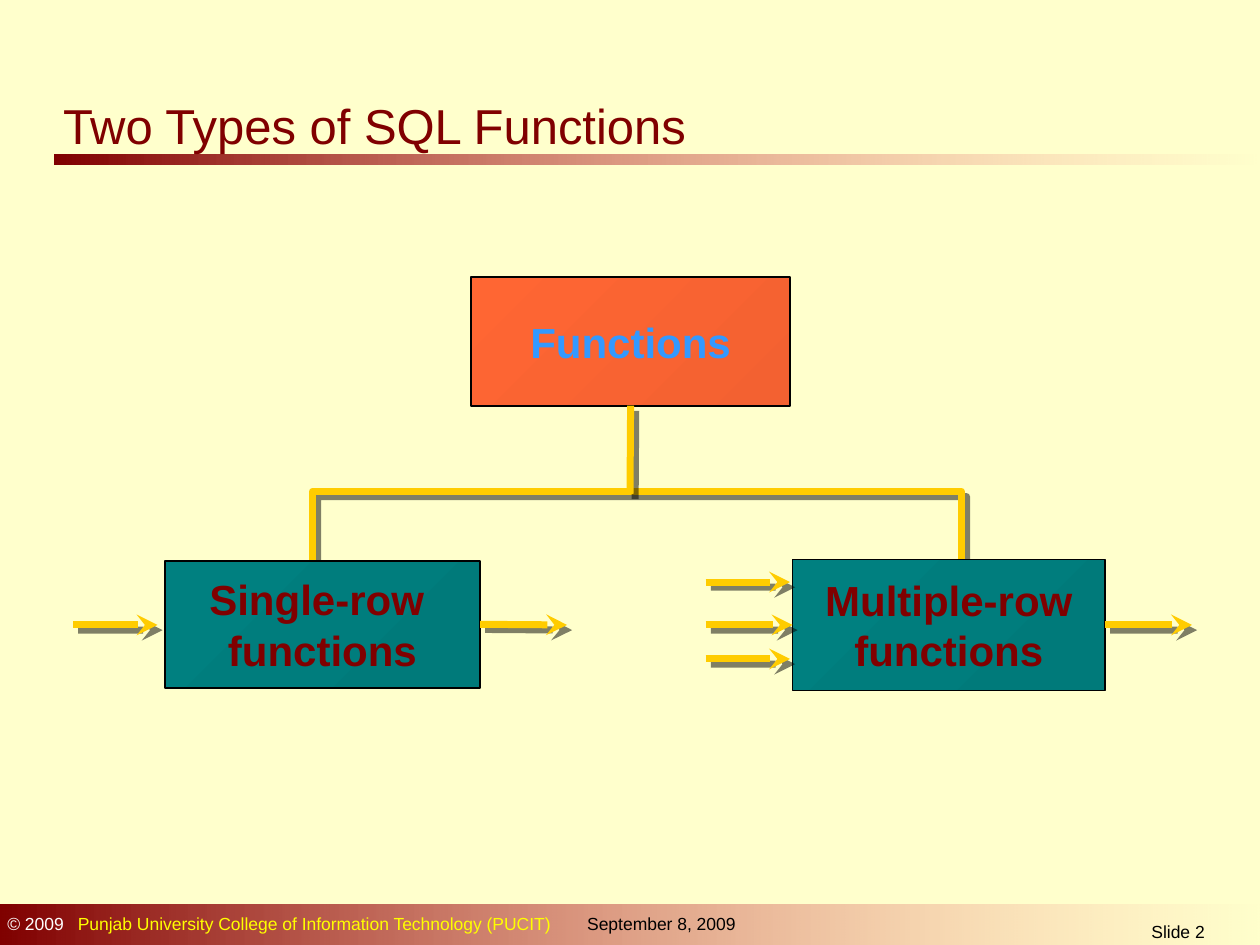
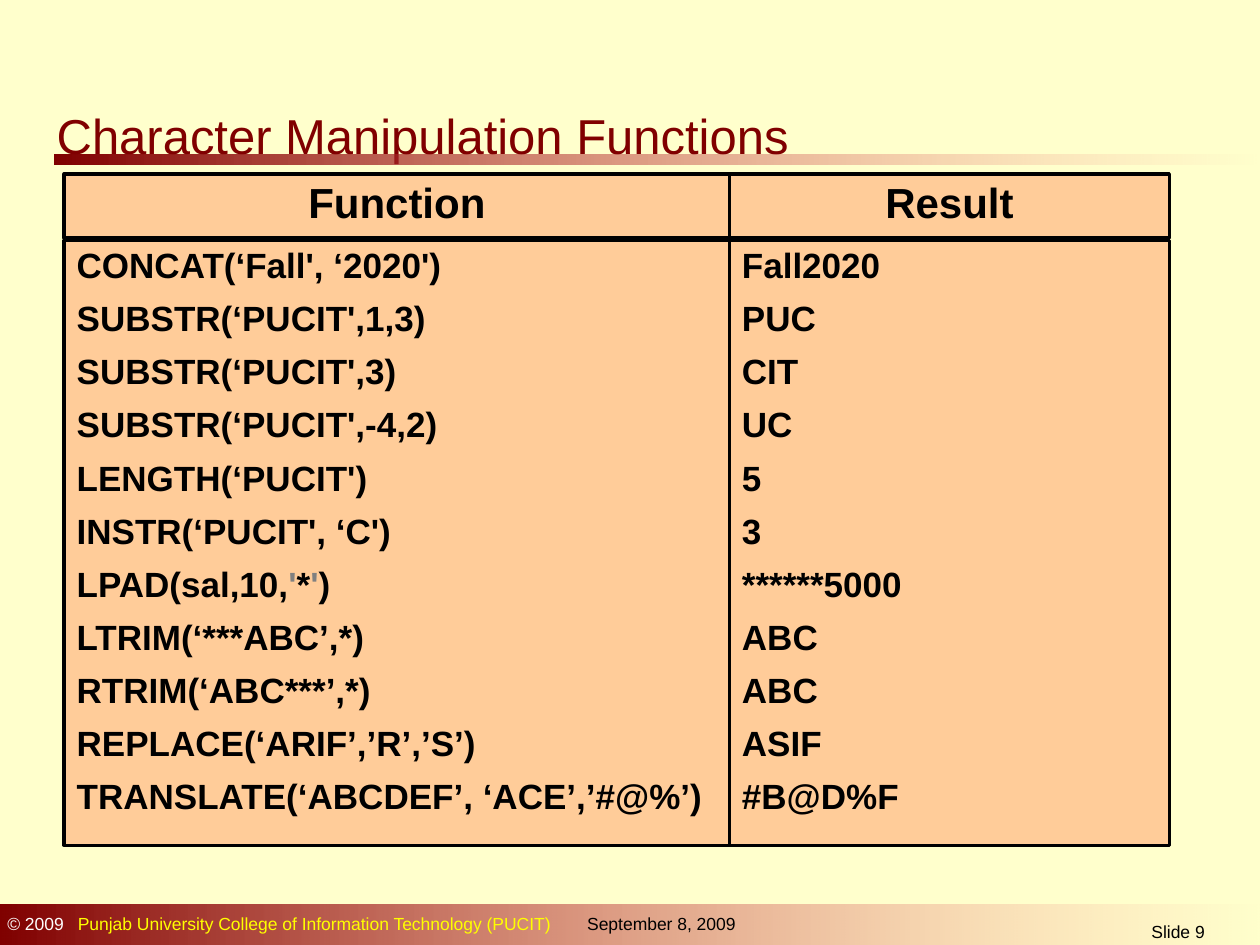
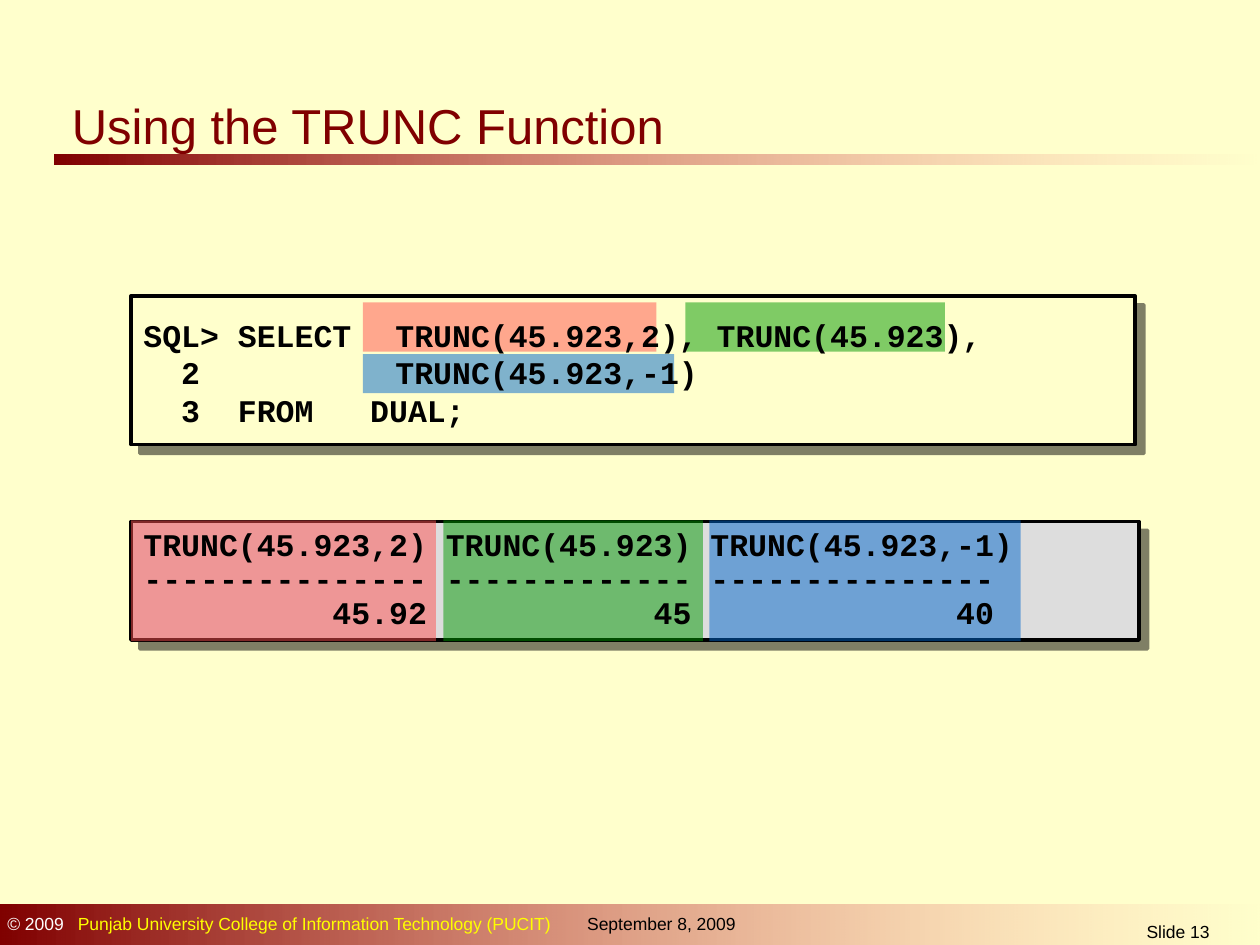
from dataclasses import dataclass
from typing import NamedTuple, Optional, Sequence, Union

from lxml.etree import SubElement
from pptx import Presentation
from pptx.dml.color import RGBColor
from pptx.enum.shapes import MSO_CONNECTOR, MSO_SHAPE
from pptx.enum.text import MSO_ANCHOR, MSO_AUTO_SIZE, PP_ALIGN
from pptx.oxml.ns import qn
from pptx.util import Inches, Pt


@dataclass(frozen=True)
class TextStyle:
    size: float
    color: str
    font: str = "Arial"
    bold: bool = False


@dataclass(frozen=True)
class Theme:
    page: str = "FFFFCC"
    maroon: str = "800000"
    rose: str = "FF8585"
    black: str = "000000"
    quote_gray: str = "808080"
    yellow: str = "FFFF00"
    arrow: str = "FFCC00"
    cell: str = "FFCC99"
    result: str = "DDDDDD"
    orange: tuple = ("FF6633", "F36131")
    teal: tuple = ("008080", "007A7A")
    red_mark: str = "FF5050"
    green_mark: str = "009900"
    blue_mark: str = "0066CC"
    title: TextStyle = TextStyle(28, "800000")
    footer: TextStyle = TextStyle(10, "000000")
    copyright: TextStyle = TextStyle(10, "FFFFFF")
    root: TextStyle = TextStyle(24, "3399FF", bold=True)
    branch: TextStyle = TextStyle(24, "800000", bold=True)
    heading: TextStyle = TextStyle(24, "000000", bold=True)
    entry: TextStyle = TextStyle(20, "000000", bold=True)
    code: TextStyle = TextStyle(18, "000000", "Courier New", True)
    thin: float = 1
    border: float = 2
    thick: float = 4
    line_shadow: float = 4.2
    panel_shadow: float = 7.1


THEME = Theme()


class Box(NamedTuple):
    left: float
    top: float
    width: float
    height: float

    def lengths(self) -> list:
        return [Inches(side) for side in self]


class Span(NamedTuple):
    text: str
    color: Optional[str] = None


Line = Union[str, Sequence[Span]]


class Layout(NamedTuple):
    align: PP_ALIGN = PP_ALIGN.LEFT
    anchor: MSO_ANCHOR = MSO_ANCHOR.TOP
    spacing: float = 1.0
    before: float = 0
    tabs: Sequence[float] = ()
    inset_left: float = 0.1
    inset_top: float = 0.05


class Node(NamedTuple):
    box: Box
    lines: Sequence[str]
    gradient: Sequence[str]
    style: TextStyle


class Flow(NamedTuple):
    """A data arrow that may be joined to the side of a node."""
    left: float
    y: float
    source: Optional[str] = None
    target: Optional[str] = None


class Column(NamedTuple):
    left: float
    width: float
    heading: str
    entries: Sequence[Line]


class Mark(NamedTuple):
    box: Box
    color: str


def rgb(color: str) -> RGBColor:
    return RGBColor.from_string(color)


def write(frame, lines: Sequence[Line], style: TextStyle, layout: Layout = Layout()) -> None:
    frame.word_wrap = True
    frame.auto_size = MSO_AUTO_SIZE.NONE
    frame.vertical_anchor = layout.anchor
    frame.margin_left, frame.margin_top = Inches(layout.inset_left), Inches(layout.inset_top)
    frame.margin_right, frame.margin_bottom = Inches(0.1), Inches(0.05)
    for number, line in enumerate(lines):
        paragraph = frame.add_paragraph() if number else frame.paragraphs[0]
        if layout.tabs:
            stops = SubElement(paragraph._p.get_or_add_pPr(), qn("a:tabLst"))
            for stop in layout.tabs:
                SubElement(stops, qn("a:tab"), pos=str(Inches(stop)), algn="l")
        paragraph.alignment = layout.align
        paragraph.line_spacing = layout.spacing
        paragraph.space_before = Pt(layout.before if number else 0)
        for span in [Span(line)] if isinstance(line, str) else line:
            run = paragraph.add_run()
            run.text = span.text
            run.font.name, run.font.size, run.font.bold = style.font, Pt(style.size), style.bold
            run.font.color.rgb = rgb(span.color or style.color)


def add_text(slide, box: Box, lines: Sequence[Line], style: TextStyle,
             layout: Layout = Layout()) -> None:
    write(slide.shapes.add_textbox(*box.lengths()).text_frame, lines, style, layout)


def set_alpha(shape, percent: int) -> None:
    """Make the last colour of the fill transparent; call before setting a line."""
    colors = shape.element.spPr.findall(f".//{qn('a:srgbClr')}")
    SubElement(colors[-1], qn("a:alpha"), val=str(percent * 1000))


def cast_shadow(shape, distance: float) -> None:
    """Add a half transparent shadow to the lower right; call after setting the line."""
    properties = shape.element.spPr
    effects = properties.find(qn("a:effectLst"))
    if effects is None:
        effects = SubElement(properties, qn("a:effectLst"))
    shadow = SubElement(effects, qn("a:outerShdw"), dist=str(Pt(distance)),
                        dir=str(45 * 60000), algn="ctr", rotWithShape="0")
    color = SubElement(shadow, qn("a:srgbClr"), val=THEME.black)
    SubElement(color, qn("a:alpha"), val="50000")


def set_line(shape, color: str, width: float) -> None:
    shape.line.color.rgb = rgb(color)
    shape.line.width = Pt(width)


def add_rectangle(slide, box: Box, fill: Optional[str] = None, border: float = 0):
    rectangle = slide.shapes.add_shape(MSO_SHAPE.RECTANGLE, *box.lengths())
    rectangle.shadow.inherit = False
    if fill:
        rectangle.fill.solid()
        rectangle.fill.fore_color.rgb = rgb(fill)
    if border:
        set_line(rectangle, THEME.black, border)
    else:
        rectangle.line.fill.background()
    return rectangle


def set_gradient(shape, colors: Sequence[str], angle: float) -> None:
    shape.fill.gradient()
    shape.fill.gradient_angle = angle
    for position, (stop, color) in enumerate(zip(shape.fill.gradient_stops, colors)):
        stop.color.rgb = rgb(color)
        stop.position = position


def add_fading_band(slide, box: Box) -> None:
    band = add_rectangle(slide, box)
    set_gradient(band, (THEME.maroon, THEME.rose), 0)
    set_alpha(band, 0)


def start_slide(deck, title: str, title_box: Box, number: int):
    """Add a slide with its title, bands and footer."""
    slide = deck.slides.add_slide(deck.slide_layouts[5])
    add_fading_band(slide, Box(0.43, 1.23, 9.57, 0.08))
    add_fading_band(slide, Box(0, 7.18, 10.03, 0.35))
    college = "\tPunjab University College of Information Technology (PUCIT)"
    add_text(slide, Box(-0.04, 7.2, 6.46, 0.27),
             [[Span("© 2009"), Span(college, THEME.yellow)]],
             THEME.copyright, Layout(tabs=[0.56]))
    add_text(slide, Box(4.29, 7.2, 1.81, 0.27), ["September 8, 2009"],
             THEME.footer, Layout(inset_left=0.37))
    add_text(slide, Box(8.31, 7.26, 2.08, 0.24), [f"Slide {number}"],
             THEME.footer, Layout(PP_ALIGN.CENTER))
    heading = slide.shapes.title
    heading.left, heading.top, heading.width, heading.height = title_box.lengths()
    write(heading.text_frame, [title], THEME.title, Layout(inset_top=0.08))
    return slide


def add_node(slide, node: Node):
    rectangle = add_rectangle(slide, node.box, border=THEME.thin)
    set_gradient(rectangle, node.gradient, 315)
    write(rectangle.text_frame, node.lines, node.style,
          Layout(PP_ALIGN.CENTER, MSO_ANCHOR.MIDDLE))
    return rectangle


def add_line(slide, x1: float, y1: float, x2: float, y2: float, arrowhead: bool = False):
    line = slide.shapes.add_connector(
        MSO_CONNECTOR.STRAIGHT, Inches(x1), Inches(y1), Inches(x2), Inches(y2))
    set_line(line, THEME.arrow, THEME.thick)
    if arrowhead:
        SubElement(line.line._get_or_add_ln(), qn("a:tailEnd"), type="stealth")
    cast_shadow(line, THEME.line_shadow)
    return line


def add_bracket(slide, left: float, right: float, top: float, bottom: float) -> None:
    corners = [(Inches(x), Inches(y)) for x, y in
               [(left, bottom), (left, top), (right, top), (right, bottom)]]
    builder = slide.shapes.build_freeform(*corners[0])
    builder.add_line_segments(corners[1:], close=False)
    bracket = builder.convert_to_shape()
    bracket.shadow.inherit = False
    bracket.fill.background()
    set_line(bracket, THEME.arrow, THEME.thick)
    cast_shadow(bracket, THEME.line_shadow)


def build_function_types(deck) -> None:
    slide = start_slide(deck, "Two Types of SQL Functions", Box(0.4, 0.68, 5.23, 0.55), 2)
    nodes = {
        "root": Node(Box(3.74, 2.2, 2.53, 1.02), ["Functions"], THEME.orange, THEME.root),
        "single": Node(Box(1.31, 4.45, 2.5, 1.01), ["Single-row ", "functions"],
                       THEME.teal, THEME.branch),
        "multiple": Node(Box(6.29, 4.44, 2.48, 1.04), ["Multiple-row", "functions"],
                         THEME.teal, THEME.branch),
    }
    add_bracket(slide, left=2.48, right=7.63, top=3.9, bottom=4.48)
    drawn = {key: add_node(slide, node) for key, node in nodes.items()}
    stem = add_line(slide, 5, 3.21, 5, 3.92)
    stem.begin_connect(drawn["root"], 2)

    flow_length = 0.67
    flows = [
        Flow(0.58, 4.96),
        Flow(3.83, 4.96, source="single"),
        Flow(5.6, 4.96, target="multiple"),
        Flow(8.79, 4.96, source="multiple"),
        Flow(5.6, 4.62),
        Flow(5.6, 5.23),
    ]
    for flow in flows:
        arrow = add_line(slide, flow.left, flow.y, flow.left + flow_length, flow.y, True)
        if flow.source:
            arrow.begin_connect(drawn[flow.source], 3)
        if flow.target:
            arrow.end_connect(drawn[flow.target], 1)


def build_character_functions(deck) -> None:
    slide = start_slide(deck, "Character Manipulation Functions",
                        Box(0.35, 0.76, 6.05, 0.47), 9)
    quote = Span("'", THEME.quote_gray)
    columns = [
        Column(0.51, 5.28, "Function", [
            "CONCAT(‘Fall', ‘2020')",
            "SUBSTR(‘PUCIT',1,3)",
            "SUBSTR(‘PUCIT',3)",
            "SUBSTR(‘PUCIT',-4,2)",
            "LENGTH(‘PUCIT')",
            "INSTR(‘PUCIT', ‘C')",
            [Span("LPAD(sal,10,"), quote, Span("*"), quote, Span(")")],
            "LTRIM(‘***ABC’,*)",
            "RTRIM(‘ABC***’,*)",
            "REPLACE(‘ARIF’,’R’,’S’)",
            "TRANSLATE(‘ABCDEF’, ‘ACE’,’#@%’)",
        ]),
        Column(5.79, 3.49, "Result", [
            "Fall2020", "PUC", "CIT", "UC", "5", "3", "******5000",
            "ABC", "ABC", "ASIF", "#B@D%F",
        ]),
    ]
    for column in columns:
        body = add_rectangle(slide, Box(column.left, 1.91, column.width, 4.8),
                             THEME.cell, THEME.border)
        write(body.text_frame, column.entries, THEME.entry, Layout(spacing=0.95, before=7.5))
        header = add_rectangle(slide, Box(column.left, 1.38, column.width, 0.51),
                               THEME.cell, THEME.border)
        write(header.text_frame, [column.heading], THEME.heading,
              Layout(PP_ALIGN.CENTER, spacing=0.95))


def build_trunc(deck) -> None:
    slide = start_slide(deck, "Using the TRUNC Function", Box(0.47, 0.68, 5, 0.59), 13)
    panels = [(Box(1.04, 2.35, 7.97, 1.18), THEME.page),
              (Box(1.04, 4.14, 8, 0.94), THEME.result)]
    for box, fill in panels:
        cast_shadow(add_rectangle(slide, box, fill, THEME.border), THEME.panel_shadow)

    result_top, result_height = 4.13, 0.96
    marks = [
        Mark(Box(1.04, result_top, 2.42, result_height), THEME.red_mark),
        Mark(Box(2.88, 2.4, 2.33, 0.39), THEME.red_mark),
        Mark(Box(3.52, result_top, 2.06, result_height), THEME.green_mark),
        Mark(Box(5.44, 2.4, 2.06, 0.39), THEME.green_mark),
        Mark(Box(5.63, result_top, 2.47, result_height), THEME.blue_mark),
        Mark(Box(2.88, 2.81, 2.47, 0.31), THEME.blue_mark),
    ]
    for mark in marks:
        set_alpha(add_rectangle(slide, mark.box, mark.color), 50)

    query = [
        "SQL> SELECT \tTRUNC(45.923,2), TRUNC(45.923),",
        "  2  \t\tTRUNC(45.923,-1)",
        "  3  FROM   DUAL;",
    ]
    output = [
        "TRUNC(45.923,2) TRUNC(45.923) TRUNC(45.923,-1)",
        "--------------- ------------- ---------------",
        "          45.92            45              40",
    ]
    add_text(slide, Box(1.04, 2.09, 8, 1.73), query, THEME.code,
             Layout(anchor=MSO_ANCHOR.MIDDLE, tabs=[1.31, 2]))
    add_text(slide, Box(1.04, 4.15, 7.97, 0.91), output, THEME.code, Layout(spacing=0.9))


def main() -> None:
    deck = Presentation()
    deck.slide_width, deck.slide_height = Inches(10), Inches(7.5)
    page = deck.slide_master.background.fill
    page.solid()
    page.fore_color.rgb = rgb(THEME.page)
    build_function_types(deck)
    build_character_functions(deck)
    build_trunc(deck)
    deck.save("out.pptx")


if __name__ == "__main__":
    main()
